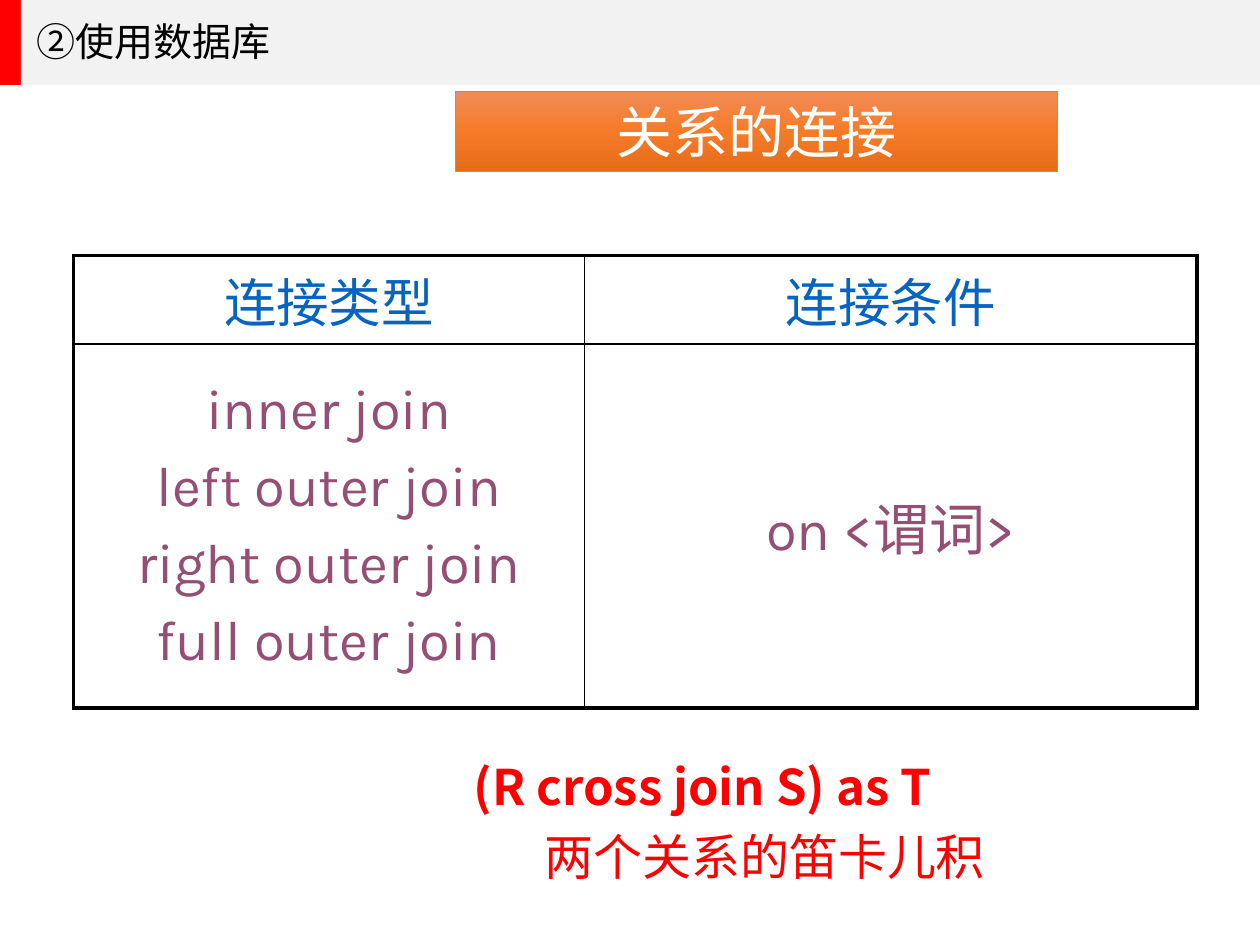
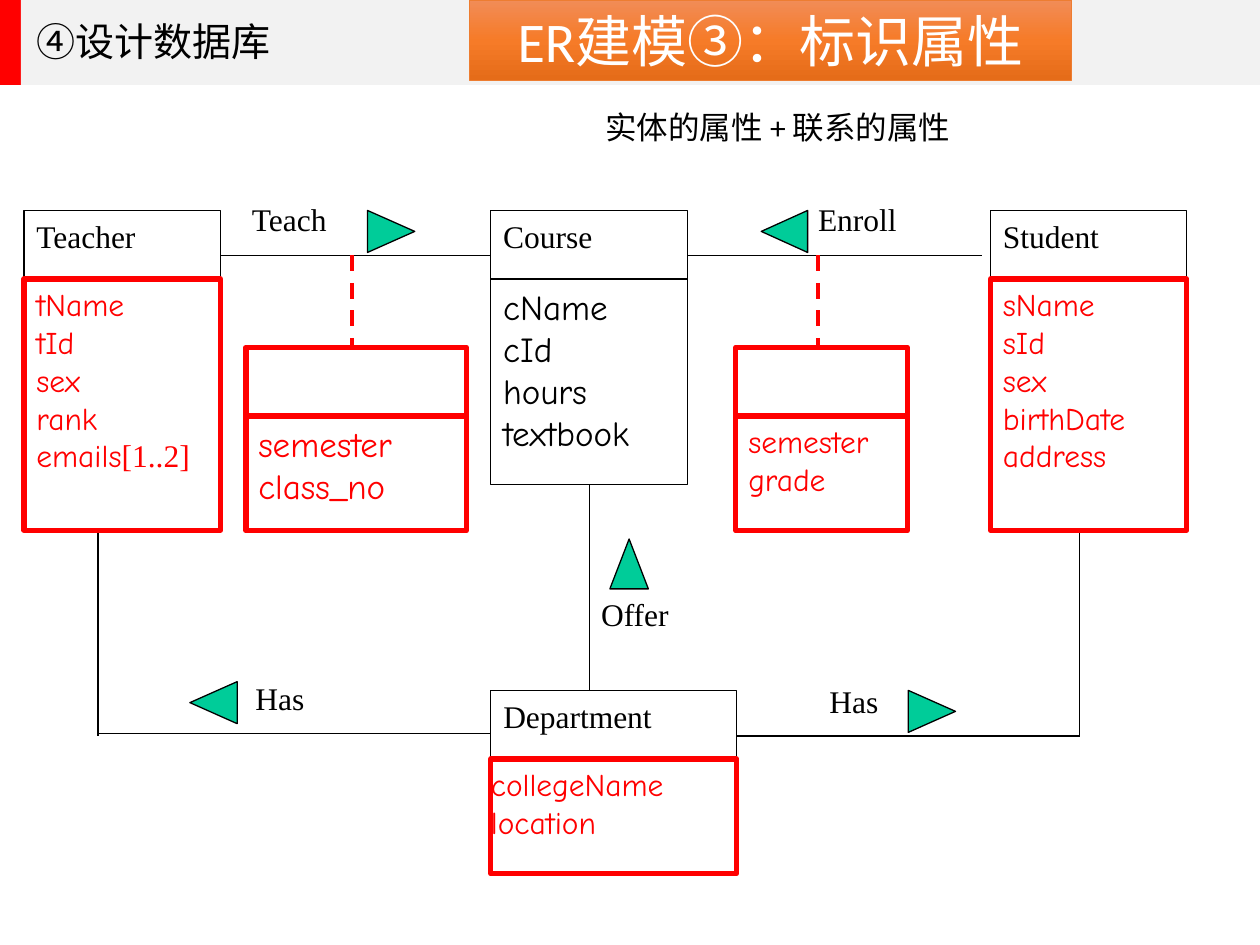
import copy

import pptx
import pptx.dml.color
import pptx.enum.dml
import pptx.enum.shapes
import pptx.enum.text
import pptx.oxml
import pptx.oxml.ns
import pptx.util

Pt = pptx.util.Pt
SHAPE = pptx.enum.shapes.MSO_SHAPE
ALIGN = pptx.enum.text.PP_ALIGN
ANCHOR = pptx.enum.text.MSO_ANCHOR
qn = pptx.oxml.ns.qn

COLORS = {
    "black": "000000", "white": "FFFFFF", "red": "FF0000", "band": "F2F2F2",
    "banner_top": "F18C57", "banner_mid": "F67B28", "banner_end": "E56C19",
    "banner_line": "ED7D31", "heading": "0563C1", "join": "954F72",
    "pointer": "00CC99",
}
SERIF, HAND, SANS, TABLE_FONT = "Times New Roman", "Comic Neue", "Calibri", "Karla"
HEAD_HEIGHT = 39.25


def rgb(name):
    return pptx.dml.color.RGBColor.from_string(COLORS[name])


class Deck:
    def __init__(self):
        self.prs = pptx.Presentation()
        self.prs.slide_width, self.prs.slide_height = Pt(720), Pt(540)
        self.layout = self.prs.slide_layouts[5]
        self.slide = None

    def start_slide(self, heading):
        first = self.slide is None
        self.slide = self.prs.slides.add_slide(self.layout)
        if first:
            self.add_bands()
        title = self.slide.shapes.title
        title.left, title.top, title.width, title.height = Pt(13.5), Pt(13), Pt(531), Pt(27)
        self.set_text(title.text_frame, [heading], 22.3, SANS, "black", ALIGN.LEFT, ANCHOR.MIDDLE)
        title.text_frame.auto_size = pptx.enum.text.MSO_AUTO_SIZE.NONE
        title.text_frame.paragraphs[0].line_spacing = 0.7

    def add_bands(self):
        """Header bands live on the layout, behind every title."""
        for index, (x, width, color) in enumerate([(0, 12, "red"), (12, 708, "band")]):
            band = self.box(x, 0, width, 48.5, color)
            self.layout.shapes.element.insert(2 + index, band.element)

    def style_run(self, run, size, font, color, bold=False):
        run.font.size, run.font.name, run.font.bold = Pt(size), font, bold
        run.font.color.rgb = rgb(color)

    def set_text(self, frame, lines, size, font, color, align, anchor, space=0, bold=False):
        frame.word_wrap = True
        frame.vertical_anchor = anchor
        for index, line in enumerate(lines):
            paragraph = frame.paragraphs[0] if index == 0 else frame.add_paragraph()
            paragraph.text = line
            paragraph.alignment = align
            paragraph.space_before = Pt(space if index else 0)
            for run in paragraph.runs:
                self.style_run(run, size, font, color, bold)

    def paint(self, shape, fill, line=None, weight=0.75):
        shape.shadow.inherit = False
        shape.fill.solid()
        shape.fill.fore_color.rgb = rgb(fill)
        if line:
            shape.line.color.rgb = rgb(line)
            shape.line.width = Pt(weight)
        else:
            shape.line.fill.background()
        return shape

    def box(self, x, y, width, height, fill, line=None, weight=0.75, kind=SHAPE.RECTANGLE):
        shape = self.slide.shapes.add_shape(kind, Pt(x), Pt(y), Pt(width), Pt(height))
        return self.paint(shape, fill, line, weight)

    def text(self, x, y, width, height, lines, size, font, color, align, inset=True, **style):
        frame = self.slide.shapes.add_textbox(Pt(x), Pt(y), Pt(width), Pt(height)).text_frame
        if not inset:
            frame.margin_left = frame.margin_right = frame.margin_top = frame.margin_bottom = 0
        self.set_text(frame, lines, size, font, color, align, ANCHOR.TOP, **style)
        return frame

    def banner(self, x, y, words):
        banner = self.box(x, y, 344, 46, "banner_mid", "banner_line", 0.5)
        banner.fill.gradient()
        banner.fill.gradient_angle = 270
        stop_list = next(banner.element.iter(qn("a:gsLst")))
        stop_list.insert(1, copy.deepcopy(stop_list[0]))
        shades = ["banner_top", "banner_mid", "banner_end"]
        for index, (stop, shade) in enumerate(zip(banner.fill.gradient_stops, shades)):
            stop.color.rgb = rgb(shade)
            stop.position = index / 2
        self.set_text(banner.text_frame, [words], 32, SANS, "white", ALIGN.CENTER, ANCHOR.MIDDLE)

    def line(self, x1, y1, x2, y2, color="black", weight=0.75, dashed=False):
        line = self.slide.shapes.add_connector(
            pptx.enum.shapes.MSO_CONNECTOR.STRAIGHT, Pt(x1), Pt(y1), Pt(x2), Pt(y2))
        line.line.color.rgb = rgb(color)
        line.line.width = Pt(weight)
        if dashed:
            line.line.dash_style = pptx.enum.dml.MSO_LINE.DASH
        line.element.spPr.append(pptx.oxml.parse_xml(
            '<a:effectLst xmlns:a="http://schemas.openxmlformats.org/drawingml/2006/main"/>'))

    def pointer(self, base_x, tip_x, y):
        """Triangle that shows the reading direction of a relationship."""
        height = 24
        builder = self.slide.shapes.build_freeform(Pt(base_x), Pt(y))
        builder.add_line_segments(
            [(Pt(tip_x), Pt(y + height / 2)), (Pt(base_x), Pt(y + height))], close=True)
        self.paint(builder.convert_to_shape(), "pointer", "black")

    def label(self, x, y, word):
        self.text(x, y, 75, 32, [word], 18, SERIF, "black", ALIGN.JUSTIFY, inset=False)

    def entity(self, x, y, width, name, attributes, height, size=18, color="red", head="black"):
        """Name box on top of an attribute box; returns the attribute text."""
        weights = {"red": 3, "black": 0.75}
        name_box = self.box(x, y, width, HEAD_HEIGHT, "white", head, weights[head])
        if name:
            self.set_text(name_box.text_frame, [name], 18, SERIF, "black",
                          ALIGN.JUSTIFY, ANCHOR.TOP)
        body = self.box(x, y + HEAD_HEIGHT, width, height, "white", color, weights[color])
        self.set_text(body.text_frame, attributes, size, HAND, color, ALIGN.JUSTIFY, ANCHOR.TOP)
        return body.text_frame

    def cell_borders(self, cell, widths):
        properties = cell._tc.get_or_add_tcPr()
        for index, (side, width) in enumerate(zip("LRTB", widths)):
            properties.insert(index, pptx.oxml.parse_xml(
                f'<a:ln{side} xmlns:a="http://schemas.openxmlformats.org/drawingml/2006/main" '
                f'w="{Pt(width)}"><a:solidFill><a:srgbClr val="{COLORS["black"]}"/>'
                f'</a:solidFill></a:ln{side}>'))

    def table(self, x, y, widths, heights, rows):
        table = self.slide.shapes.add_table(
            len(heights), len(widths), Pt(x), Pt(y), Pt(sum(widths)), Pt(sum(heights))).table
        table.first_row = table.horz_banding = False
        for column, width in zip(table.columns, widths):
            column.width = Pt(width)
        for row, height in zip(table.rows, heights):
            row.height = Pt(height)
        outer, inner = 2.25, 1
        for r, row in enumerate(rows):
            size, color = (32, "join") if r else (30, "heading")
            for c, lines in enumerate(row):
                cell = table.cell(r, c)
                self.set_text(cell.text_frame, lines, size, TABLE_FONT, color,
                              ALIGN.CENTER, ANCHOR.MIDDLE, space=6.4)
                cell.vertical_anchor = ANCHOR.MIDDLE
                cell.fill.solid()
                cell.fill.fore_color.rgb = rgb("white")
                edges = [c == 0, c == len(row) - 1, r == 0, r == len(rows) - 1]
                self.cell_borders(cell, [outer if edge else inner for edge in edges])


def build_joins(deck):
    deck.start_slide("②使用数据库")
    deck.banner(260.5, 52, "关系的连接")
    join_types = ["inner join", "left outer join", "right outer join", "full outer join"]
    deck.table(42, 146, [292, 350], [50, 208],
               [[["连接类型"], ["连接条件"]], [join_types, ["on <谓词>"]]])

    # Cross join, with its explanation set further right
    cross_join = deck.text(157.5, 422, 452, 97, ["(R cross join S) as T", "两个关系的笛卡儿积"],
                           28, "Noto Sans CJK SC", "red", ALIGN.CENTER, bold=True)
    for paragraph, indent in zip(cross_join.paragraphs, (36, 107)):
        paragraph.line_spacing = 1.2
        paragraph._p.get_or_add_pPr().set("marL", str(Pt(indent)))
    cross_join.paragraphs[1].runs[0].font.bold = False


def build_er_model(deck):
    deck.start_slide("④设计数据库")
    deck.banner(268.5, 0, "ER建模③：标识属性")
    deck.text(337, 58, 215, 29, ["实体的属性 + 联系的属性"], 18, SANS, "black", ALIGN.CENTER)

    # Relationship lines
    top, bottom, link = 120.25, 303, 146
    for ends in [(126, link, 281, link), (392.5, link, 561, link), (337, 277, 337, 394.5),
                 (56, bottom, 56, 420.5), (56, 419, 281, 419),
                 (617, bottom, 617, 420.5), (420.5, 420.5, 617, 420.5)]:
        deck.line(*ends)
    for x in (201, 467.5):
        deck.line(x, link, x, 199, "red", 2.25, dashed=True)

    # Entities
    width, tall = 112.25, 143.5
    teacher = deck.entity(13.75, top, width, "Teacher",
                          ["tName", "tId", "sex", "rank", "emails"], tall)
    count = teacher.paragraphs[-1].add_run()
    count.text = "[1..2]"
    deck.style_run(count, 18, SERIF, "red")
    deck.entity(280.5, top, width, "Course", ["cName", "cId", "hours", "textbook"],
                117.5, 20, "black")
    deck.entity(566, top, width, "Student", ["sName", "sId", "sex", "birthDate address"], tall)
    department = deck.entity(280.5, 394.5, 140.5, "Department", ["collegeName", "location"], 65.5)
    department.margin_left = department.margin_right = 0

    # Attributes of relationships
    for x, box_width, attributes, size in [(140.5, 126, ["semester", "class_no"], 20),
                                           (420.5, 98, ["semester", "grade"], 18)]:
        deck.entity(x, 198.5, box_width, "", attributes, 65.5, size, head="red")

    # Relationship names and reading directions
    for x, y, word in [(144, 114, "Teach"), (467.5, 114, "Enroll"), (343.5, 340, "Offer"),
                       (146, 388, "Has"), (474, 390, "Has")]:
        deck.label(x, y, word)
    for base_x, tip_x, y in [(210, 237, top), (461.5, 435, top), (519, 546, 394.5),
                             (135.5, 108.5, 389.5)]:
        deck.pointer(base_x, tip_x, y)
    offer = deck.box(348.5, 308, 22, 28.5, "pointer", "black", kind=SHAPE.FLOWCHART_MERGE)
    offer.rotation = 180


def main():
    deck = Deck()
    build_joins(deck)
    build_er_model(deck)
    deck.prs.save("out.pptx")


if __name__ == "__main__":
    main()
